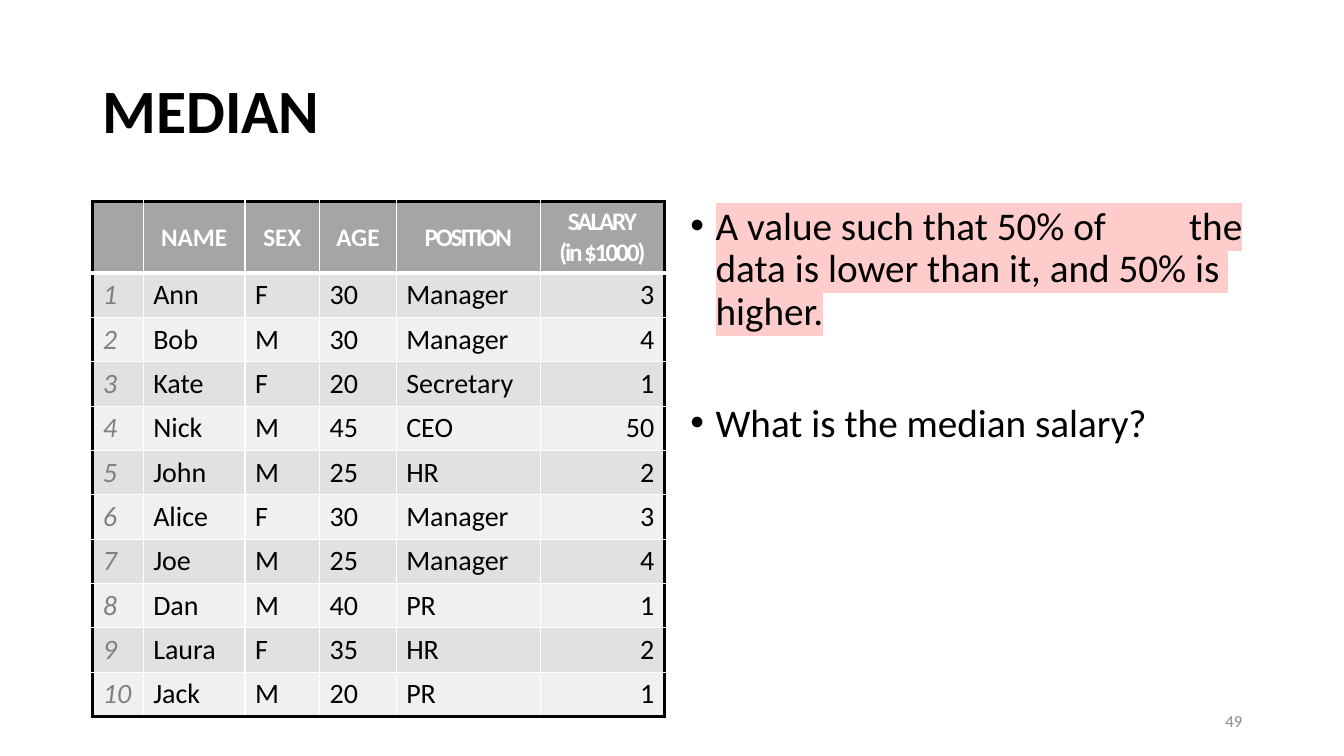
import lxml.etree
import pptx
import pptx.dml.color
import pptx.enum.text
import pptx.oxml.ns
import pptx.util

Inches = pptx.util.Inches
Pt = pptx.util.Pt
RGBColor = pptx.dml.color.RGBColor
ALIGN = pptx.enum.text.PP_ALIGN
ANCHOR = pptx.enum.text.MSO_ANCHOR
qn = pptx.oxml.ns.qn

BLACK = RGBColor(0x00, 0x00, 0x00)
WHITE = RGBColor(0xFF, 0xFF, 0xFF)
HEADER_GREY = RGBColor(0xA5, 0xA5, 0xA5)
BAND_GREYS = (RGBColor(0xE1, 0xE1, 0xE1), RGBColor(0xF0, 0xF0, 0xF0))
INDEX_GREY = RGBColor(0x80, 0x80, 0x80)
NUMBER_GREY = RGBColor(0x8C, 0x8C, 0x8C)
PINK = RGBColor(0xFF, 0xCC, 0xCC)

FONT = "Calibri"
NO_BREAK_SPACE = chr(160)
HEADERS = ("", "NAME", "SEX", "AGE", "POSITION", "SALARY\n(in $1000)")
TIGHT_HEADERS = HEADERS[4:]
COLUMN_WIDTHS = (0.5, 1.01, 0.74, 0.76, 1.43, 1.23)
HEADER_HEIGHT = 0.71
ROW_HEIGHT = 0.44
EMPLOYEES = (
    ("Ann", "F", 30, "Manager", 3),
    ("Bob", "M", 30, "Manager", 4),
    ("Kate", "F", 20, "Secretary", 1),
    ("Nick", "M", 45, "CEO", 50),
    ("John", "M", 25, "HR", 2),
    ("Alice", "F", 30, "Manager", 3),
    ("Joe", "M", 25, "Manager", 4),
    ("Dan", "M", 40, "PR", 1),
    ("Laura", "F", 35, "HR", 2),
    ("Jack", "M", 20, "PR", 1),
)
DEFINITION = ("A value such that 50% of", "the",
              "data is lower than it, and 50% is higher.")
QUESTION = "What is the median salary?"


def add_span(para, text, color, **font_format):
    """Add a run to a paragraph with the given font values."""
    span = para.add_run()
    span.text = text
    span.font.color.rgb = color
    for name, value in {"name": FONT, **font_format}.items():
        setattr(span.font, name, value)
    return span


def add_text_box(slide, box, anchor):
    """Add a wrapping text box and return its text frame."""
    frame = slide.shapes.add_textbox(*map(Inches, box)).text_frame
    frame.word_wrap = True
    frame.vertical_anchor = anchor
    return frame


def set_border(cell, sides):
    """Draw the cell's sides, each given as a colour and a width in points."""
    properties = cell._tc.get_or_add_tcPr()
    for position, side in enumerate("LRTB"):
        color, width = sides[side]
        line = lxml.etree.Element(qn(f"a:ln{side}"), w=str(Pt(width)))
        fill = lxml.etree.SubElement(line, qn("a:solidFill"))
        lxml.etree.SubElement(fill, qn("a:srgbClr"), val=str(color))
        properties.insert(position, line)


def fill_cell(cell, text, fill, align, color, **font_format):
    """Fill a table cell and write its lines of text."""
    cell.fill.solid()
    cell.fill.fore_color.rgb = fill
    cell.vertical_anchor = ANCHOR.MIDDLE
    for number, line in enumerate(text.split("\n")):
        frame = cell.text_frame
        para = frame.add_paragraph() if number else frame.paragraphs[0]
        para.alignment = align
        if line:
            span = add_span(para, line, color, **font_format)
            if text in TIGHT_HEADERS:
                span._r.get_or_add_rPr().set("spc", "-150")


def add_title(slide, box):
    """Add the slide title."""
    para = add_text_box(slide, box, ANCHOR.MIDDLE).paragraphs[0]
    para.line_spacing = 0.9
    add_span(para, "MEDIAN", BLACK, size=Pt(44), bold=True)


def add_salary_table(slide, box):
    """Add the employee table with a dark frame and banded rows."""
    records = [HEADERS] + [(number, *employee) for number, employee
                           in enumerate(EMPLOYEES, 1)]
    last_row, last_column = len(records) - 1, len(HEADERS) - 1
    table = slide.shapes.add_table(
        len(records), len(HEADERS), *map(Inches, box)).table
    for column, width in zip(table.columns, COLUMN_WIDTHS):
        column.width = Inches(width)
    frame_line, grid_line, header_line = (BLACK, 2.25), (WHITE, 1), (WHITE, 3)
    for r, record in enumerate(records):
        table.rows[r].height = Inches(ROW_HEIGHT if r else HEADER_HEIGHT)
        for c, value in enumerate(record):
            cell = table.cell(r, c)
            if r == 0:
                fill_cell(cell, value, HEADER_GREY, ALIGN.CENTER, WHITE,
                          size=Pt(18), bold=True)
            else:
                fill_cell(cell, str(value), BAND_GREYS[(r - 1) % 2],
                          ALIGN.RIGHT if c == last_column else ALIGN.LEFT,
                          BLACK if c else INDEX_GREY,
                          size=Pt(20), bold=False, italic=c == 0)
            set_border(cell, {
                "L": grid_line if c else frame_line,
                "R": frame_line if c == last_column else grid_line,
                "T": frame_line if r == 0 else
                     header_line if r == 1 else grid_line,
                "B": header_line if r == 0 else
                     frame_line if r == last_row else grid_line,
            })


def add_bullet(para, text, space_before):
    """Turn a paragraph into a justified bullet and return its run."""
    para_format = {"alignment": ALIGN.JUSTIFY, "line_spacing": 0.9,
                   "space_before": Pt(space_before)}
    for name, value in para_format.items():
        setattr(para, name, value)
    properties = para._p.get_or_add_pPr()
    properties.set("marL", str(Inches(0.25)))
    properties.set("indent", str(Inches(-0.25)))
    lxml.etree.SubElement(properties, qn("a:buFont"), typeface="Arial")
    lxml.etree.SubElement(properties, qn("a:buChar"), char="•")
    return add_span(para, text, BLACK, size=Pt(28))


def add_bullets(slide, box):
    """Add the highlighted definition and the question."""
    frame = add_text_box(slide, box, ANCHOR.TOP)
    definition = " ".join(phrase.replace(" ", NO_BREAK_SPACE)
                          for phrase in DEFINITION)
    span = add_bullet(frame.paragraphs[0], definition, 10)
    highlight = lxml.etree.Element(qn("a:highlight"))
    lxml.etree.SubElement(highlight, qn("a:srgbClr"), val=str(PINK))
    span._r.get_or_add_rPr().find(qn("a:solidFill")).addnext(highlight)
    add_bullet(frame.add_paragraph(), QUESTION, 50)


def add_slide_number(slide, box):
    """Add the page number at the lower right."""
    para = add_text_box(slide, box, ANCHOR.MIDDLE).paragraphs[0]
    para.alignment = ALIGN.RIGHT
    add_span(para, "49", NUMBER_GREY, size=Pt(12))


def main():
    """Build the deck and save it."""
    deck = pptx.Presentation()
    deck.slide_width, deck.slide_height = Inches(13.33), Inches(7.5)
    page = deck.slides.add_slide(deck.slide_layouts[6])
    add_title(page, (0.92, 0.4, 11.5, 1.45))
    add_salary_table(page, (0.92, 2, 5.67, 5.12))
    add_bullets(page, (6.75, 2, 5.67, 5.1))
    add_slide_number(page, (9.42, 6.95, 3, 0.4))
    deck.save("out.pptx")


if __name__ == "__main__":
    main()
